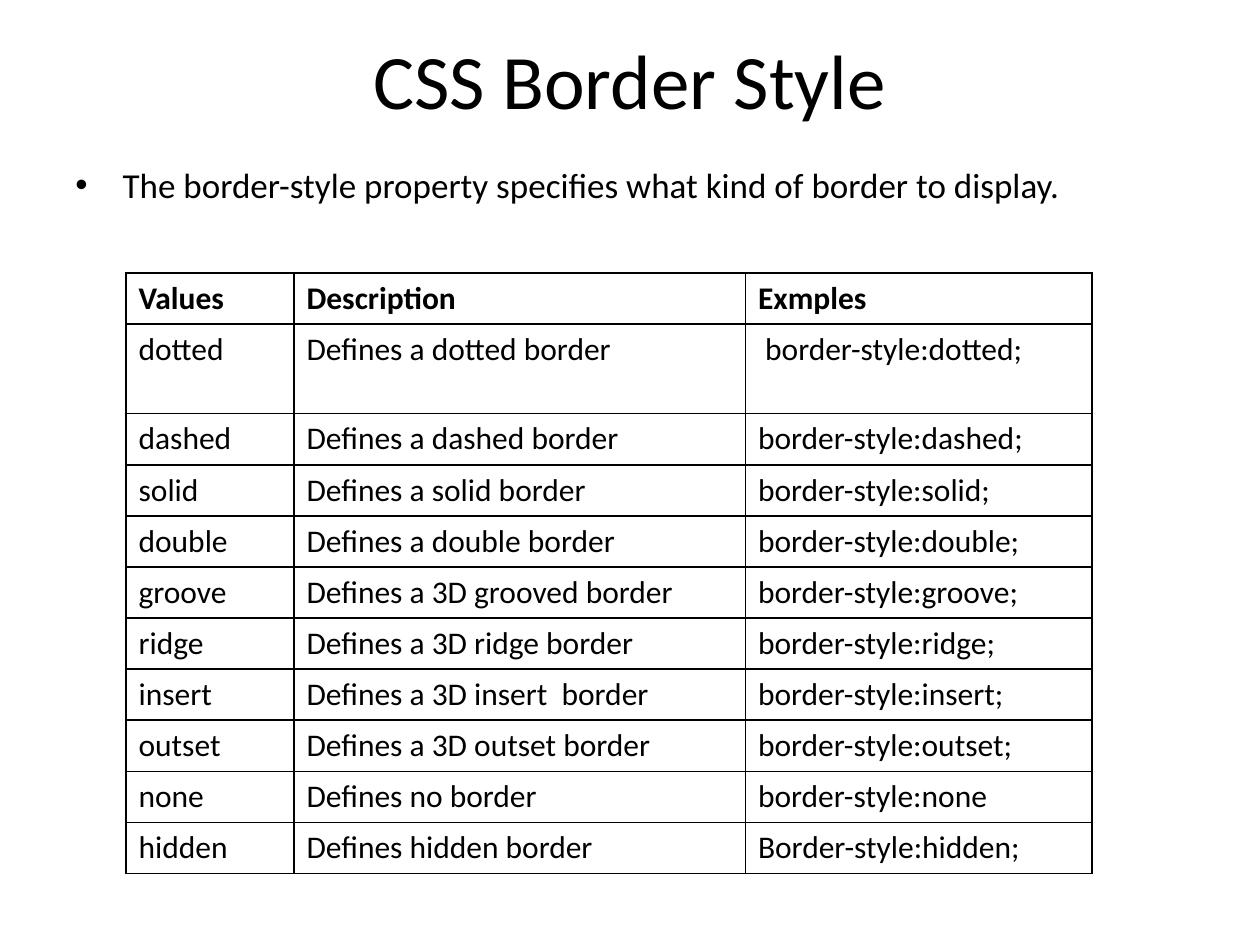
from dataclasses import dataclass
from typing import NamedTuple

from lxml.etree import SubElement
from pptx import Presentation
from pptx.dml.color import RGBColor
from pptx.enum.text import MSO_ANCHOR as Anchor, PP_ALIGN as Align
from pptx.oxml.ns import qn
from pptx.util import Pt


@dataclass(frozen=True)
class Theme:
    """Font, colours and type sizes in points."""
    font: str = "Calibri"
    ink: str = "000000"
    paper: str = "FFFFFF"
    title: float = 44
    body: float = 20
    cell: float = 18
    rule: float = 1


class Box(NamedTuple):
    """A rectangle in points."""
    left: float
    top: float
    width: float
    height: float


class BorderStyle(NamedTuple):
    """One table row."""
    value: str
    description: str
    example: str
    height: float = 29.2


THEME = Theme()
COL_WIDTHS = (96, 258, 198)
ROWS = (
    BorderStyle("Values", "Description", "Exmples"),
    BorderStyle("dotted", "Defines a dotted border", " border-style:dotted;", 51.2),
    BorderStyle("dashed", "Defines a dashed border", "border-style:dashed;"),
    BorderStyle("solid", "Defines a solid border", "border-style:solid;"),
    BorderStyle("double", "Defines a double border", "border-style:double;"),
    BorderStyle("groove", "Defines a 3D grooved border", "border-style:groove;"),
    BorderStyle("ridge", "Defines a 3D ridge border", "border-style:ridge;"),
    BorderStyle("insert", "Defines a 3D insert  border", "border-style:insert;"),
    BorderStyle("outset", "Defines a 3D outset border", "border-style:outset;"),
    BorderStyle("none", "Defines no border", "border-style:none"),
    BorderStyle("hidden", "Defines hidden border", "Border-style:hidden;"),
)


def write(tf, text: str, *, size: float, bold: bool = False, align=Align.LEFT):
    """Put formatted text in the first paragraph and return it."""
    p = tf.paragraphs[0]
    p.alignment = align
    r = p.add_run()
    r.text = text
    r.font.name, r.font.size, r.font.bold = THEME.font, Pt(size), bold
    r.font.color.rgb = RGBColor.from_string(THEME.ink)
    return p


def add_text(s, box: Box, text: str, *, anchor=Anchor.TOP, **fmt):
    """Add a wrapping text box and return its paragraph."""
    tf = s.shapes.add_textbox(*map(Pt, box)).text_frame
    tf.word_wrap = True
    tf.vertical_anchor = anchor
    return write(tf, text, **fmt)


def add_bullet(p, indent: float) -> None:
    """Give a paragraph a hanging round bullet."""
    p.space_before = Pt(4)
    pPr = p._p.get_or_add_pPr()
    pPr.set("marL", str(Pt(indent)))
    pPr.set("indent", str(Pt(-indent)))
    SubElement(pPr, qn("a:buFont"), typeface="Arial")
    SubElement(pPr, qn("a:buChar"), char="•")


def add_borders(cell) -> None:
    """Rule all four sides of a cell."""
    tcPr = cell._tc.get_or_add_tcPr()
    for i, side in enumerate(("lnL", "lnR", "lnT", "lnB")):
        ln = tcPr.makeelement(qn(f"a:{side}"), {"w": str(Pt(THEME.rule))})
        fill = SubElement(ln, qn("a:solidFill"))
        SubElement(fill, qn("a:srgbClr"), val=THEME.ink)
        tcPr.insert(i, ln)


def add_style_table(s, left: float, top: float) -> None:
    """Draw the table of border styles."""
    box = Box(left, top, sum(COL_WIDTHS), sum(row.height for row in ROWS))
    table = s.shapes.add_table(len(ROWS), len(COL_WIDTHS), *map(Pt, box)).table
    table.first_row = table.horz_banding = False
    for col, width in zip(table.columns, COL_WIDTHS):
        col.width = Pt(width)
    for i, row in enumerate(ROWS):
        table.rows[i].height = Pt(row.height)
        for cell, text in zip(table.rows[i].cells, row[:3]):
            cell.fill.background()
            add_borders(cell)
            write(cell.text_frame, text, size=THEME.cell, bold=i == 0)


def main() -> None:
    """Build and save the slide."""
    prs = Presentation()
    prs.slide_width, prs.slide_height = Pt(720), Pt(540)
    s = prs.slides.add_slide(prs.slide_layouts[6])
    s.background.fill.solid()
    s.background.fill.fore_color.rgb = RGBColor.from_string(THEME.paper)
    add_text(s, Box(36, 0, 648, 90), "CSS Border Style", size=THEME.title,
             anchor=Anchor.MIDDLE, align=Align.CENTER)
    p = add_text(s, Box(36, 90, 648, 48),
                 "The border-style property specifies what kind of border to display.",
                 size=THEME.body)
    add_bullet(p, 27)
    add_style_table(s, 72, 156)
    prs.save("out.pptx")


main()
